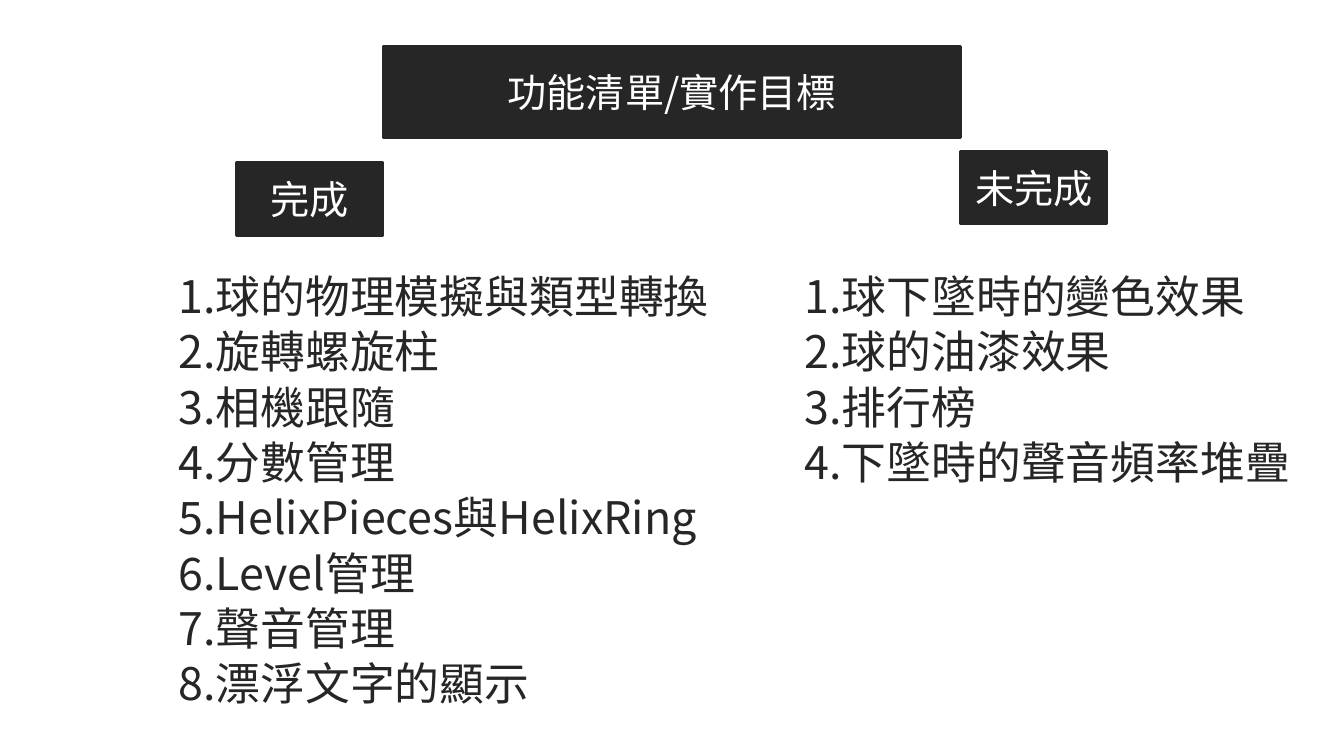
from lxml.etree import SubElement
from pptx import Presentation
from pptx.dml.color import RGBColor
from pptx.enum.text import MSO_ANCHOR as Anchor, MSO_AUTO_SIZE as AutoSize, PP_ALIGN as Align
from pptx.oxml.ns import qn
from pptx.util import Pt

TYPEFACE = "Noto Sans CJK SC"
DARK, WHITE = "262626", "FFFFFF"
ROW_PITCH = 39.5

HEADING = "功能清單/實作目標"
DONE = [
    "1.球的物理模擬與類型轉換",
    "2.旋轉螺旋柱",
    "3.相機跟隨",
    "4.分數管理",
    "5.HelixPieces與HelixRing",
    "6.Level管理",
    "7.聲音管理",
    "8.漂浮文字的顯示",
]
PENDING = [
    "1.球下墜時的變色效果",
    "2.球的油漆效果",
    "3.排行榜",
    "4.下墜時的聲音頻率堆疊",
]

LABEL_FORMAT = {"alignment": Align.CENTER, "line_spacing": 1.0, "space_before": Pt(0)}
LIST_FORMAT = {"alignment": Align.LEFT, "line_spacing": Pt(ROW_PITCH), "space_before": Pt(0)}


def color(hex_value):
    """Turn a hex string into a colour."""
    return RGBColor.from_string(hex_value)


def apply(target, values):
    """Set each attribute named in a dict of format values."""
    for name, value in values.items():
        setattr(target, name, value)


def place(holder, box):
    """Move a placeholder to a box given in points."""
    apply(holder, dict(zip(("left", "top", "width", "height"), map(Pt, box))))


def write(holder, lines, size, ink, layout):
    """Write plain unbulleted paragraphs into a placeholder."""
    frame = holder.text_frame
    frame.text = "\n".join(lines)
    for paragraph in frame.paragraphs:
        properties = paragraph._p.get_or_add_pPr()
        apply(paragraph, layout)
        properties.set("marL", "0")
        properties.set("indent", "0")
        SubElement(properties, qn("a:buNone"))
        run = paragraph.runs[0]
        apply(run.font, {"size": Pt(size), "bold": False, "name": TYPEFACE})
        run.font.color.rgb = color(ink)
        SubElement(run._r.get_or_add_rPr(), qn("a:ea"), typeface=TYPEFACE)


def add_label(holder, box, wording):
    """Draw a dark block with one centred line."""
    place(holder, box)
    holder.fill.solid()
    holder.fill.fore_color.rgb = color(DARK)
    holder.line.color.rgb = color(DARK)
    holder.line.width = Pt(2)
    apply(holder.text_frame, {
        "vertical_anchor": Anchor.MIDDLE, "word_wrap": True, "auto_size": AutoSize.NONE,
    })
    write(holder, [wording], 28, WHITE, LABEL_FORMAT)


def add_list(holder, box, items):
    """Fill a column with numbered items at a fixed pitch."""
    left, top, width = box
    place(holder, (left, top, width, ROW_PITCH * len(items)))
    apply(holder.text_frame, {
        "vertical_anchor": Anchor.TOP, "word_wrap": True, "auto_size": AutoSize.NONE,
        "margin_top": 0, "margin_bottom": 0,
    })
    write(holder, items, 32, DARK, LIST_FORMAT)


def build_goals_slide(deck):
    """Add the slide comparing finished and unfinished features."""
    slide = deck.slides.add_slide(deck.slide_layouts[4])
    heading, done_label, done_list, pending_label, pending_list = slide.placeholders
    add_label(heading, (273.6, 33, 412.6, 65.5), HEADING)
    add_label(done_label, (169.2, 116, 104.4, 52), "完成")
    add_list(done_list, (120.2, 191, 447), DONE)
    add_label(pending_label, (686.2, 108, 104.4, 52), "未完成")
    add_list(pending_list, (567.4, 191, 392), PENDING)


def main():
    """Build and save the deck."""
    deck = Presentation()
    apply(deck, {"slide_width": Pt(960), "slide_height": Pt(540)})
    build_goals_slide(deck)
    deck.save("out.pptx")


if __name__ == "__main__":
    main()
